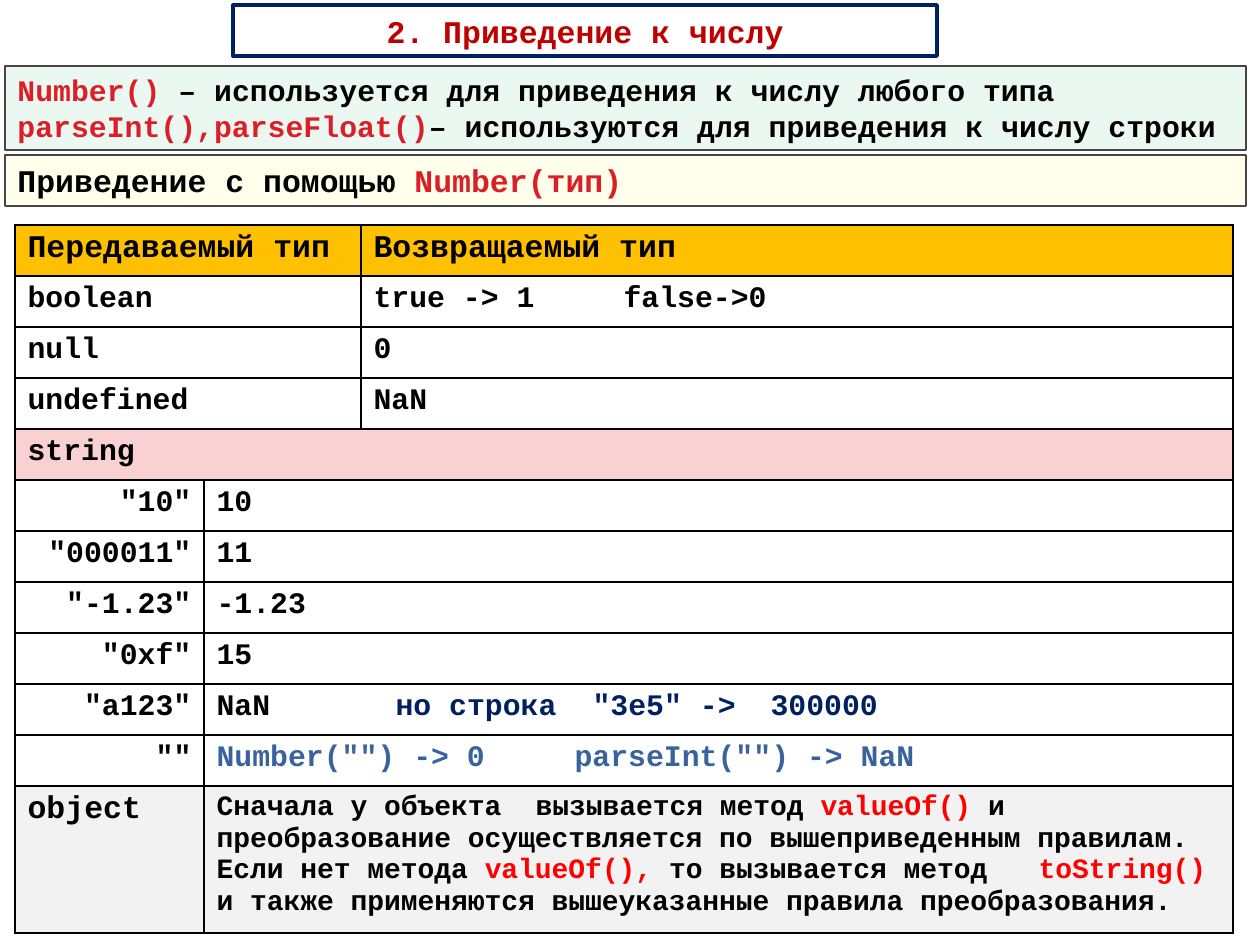
from dataclasses import dataclass
from typing import Any

from lxml.etree import SubElement
from pptx import Presentation
from pptx.dml.color import RGBColor as RGB
from pptx.enum.shapes import MSO_SHAPE as Preset
from pptx.enum.text import MSO_ANCHOR as Anchor, MSO_AUTO_SIZE as AutoSize, PP_ALIGN as Align
from pptx.oxml import parse_xml
from pptx.oxml.ns import nsdecls, qn
from pptx.util import Emu, Pt

BLACK = RGB(0x00, 0x00, 0x00)
WHITE = RGB(0xFF, 0xFF, 0xFF)
NAVY = RGB(0x00, 0x20, 0x60)
BLUE = RGB(0x39, 0x63, 0x9D)
CRIMSON = RGB(0xDA, 0x1F, 0x28)
DARK_RED = RGB(0xC0, 0x00, 0x00)
RED = RGB(0xFF, 0x00, 0x00)
GRAY = RGB(0x46, 0x46, 0x46)
GREEN = RGB(0x00, 0xB0, 0x50)
YELLOW = RGB(0xFF, 0xFF, 0x00)
AMBER = RGB(0xFF, 0xC0, 0x00)
PINK = RGB(0xF9, 0xD1, 0xD3)
PALE_GRAY = RGB(0xF2, 0xF2, 0xF2)


def px(length):
    return Emu(round(length * 914400 / 126))


def write(frame, paragraphs, font="Courier New", size=17, color=BLACK, align=Align.LEFT, tabs=()):
    """Fill a text frame; a paragraph is a string or a list of strings and (string, colour) pairs."""
    frame.word_wrap = True
    for index, runs in enumerate(paragraphs):
        paragraph = frame.add_paragraph() if index else frame.paragraphs[0]
        paragraph.alignment = align
        if tabs:
            tab_list = SubElement(paragraph._p.get_or_add_pPr(), qn("a:tabLst"))
            for stop in tabs:
                SubElement(tab_list, qn("a:tab"), pos=str(px(stop)), algn="l")
        for part in [runs] if isinstance(runs, str) else runs:
            words, tint = (part, color) if isinstance(part, str) else part
            run = paragraph.add_run()
            run.text = words
            run.font.name, run.font.size, run.font.bold = font, Pt(size), True
            run.font.color.rgb = tint


@dataclass
class Builder:
    slide: Any
    frame_width: float = 0.75
    title_frame_width: float = 2.25
    border_width: float = 1

    def title(self, text, left, top, width, height):
        title = self.slide.shapes.title
        title.left, title.top, title.width, title.height = map(px, (left, top, width, height))
        title.fill.solid()
        title.fill.fore_color.rgb = WHITE
        title.line.color.rgb = NAVY
        title.line.width = Pt(self.title_frame_width)
        title.text_frame.auto_size = AutoSize.NONE
        title.text_frame.vertical_anchor = Anchor.MIDDLE
        write(title.text_frame, [text], size=18, color=DARK_RED, align=Align.CENTER)

    def tinted_box(self, paragraphs, left, top, width, height, fill, opacity=8, **text_format):
        box = self.slide.shapes.add_shape(Preset.RECTANGLE, *map(px, (left, top, width, height)))
        box.shadow.inherit = False
        box.fill.solid()
        box.fill.fore_color.rgb = fill
        tint = box._element.spPr.find(qn("a:solidFill"))[0]
        SubElement(tint, qn("a:alpha"), val=str(opacity * 1000))
        box.line.color.rgb = GRAY
        box.line.width = Pt(self.frame_width)
        box.text_frame.vertical_anchor = Anchor.TOP
        write(box.text_frame, paragraphs, **text_format)

    def table(self, left, top, columns, rows):
        area = map(px, (left, top, sum(columns), sum(rows)))
        table = self.slide.shapes.add_table(len(rows), len(columns), *area).table
        table.first_row = table.horz_banding = False
        for column, width in zip(table.columns, columns):
            column.width = px(width)
        for row, height in zip(table.rows, rows):
            row.height = px(height)
            for cell in row.cells:
                self.style_cell(cell, WHITE)
        return table

    def style_cell(self, cell, fill):
        cell.fill.solid()
        cell.fill.fore_color.rgb = fill
        properties = cell._tc.get_or_add_tcPr()
        for index, side in enumerate(("lnL", "lnR", "lnT", "lnB")):
            properties.insert(index, parse_xml(
                f'<a:{side} {nsdecls("a")} w="{Pt(self.border_width)}"><a:solidFill>'
                f'<a:srgbClr val="{BLACK}"/></a:solidFill></a:{side}>'))

    def cell(self, table, row, first, last, text, fill=WHITE, **text_format):
        """Write one cell that spans the columns first to last."""
        cell = table.cell(row, first)
        if last > first:
            cell.merge(table.cell(row, last))
        cell.fill.fore_color.rgb = fill
        write(cell.text_frame, [text], **text_format)


PRIMITIVES = [
    ("boolean", "true -> 1\tfalse->0", (250,)),
    ("null", "0", ()),
    ("undefined", "NaN", ()),
]
STRINGS = [
    ('"10"', "10", ()),
    ('"000011"', "11", ()),
    ('"-1.23"', "-1.23", ()),
    ('"0xf"', "15", ()),
    ('"a123"', ["NaN\t", ('но строка\t"3e5" ->\t300000', NAVY)], (179, 376, 554)),
    ('""', [('Number("") -> 0\tparseInt("") -> NaN', BLUE)], (358,)),
]
OBJECT_RULE = [
    "Сначала у объекта\tвызывается метод ", ("valueOf() ", RED),
    "и преобразование осуществляется по вышеприведенным правилам. Если нет метода ",
    ("valueOf(), ", RED), "то вызывается метод\t", ("toString() ", RED),
    "и также применяются вышеуказанные правила преобразования.",
]


def main():
    deck = Presentation()
    deck.slide_width, deck.slide_height = px(1260), px(945)
    build = Builder(deck.slides.add_slide(deck.slide_layouts[5]))

    build.title("2. Приведение к числу", 233, 5, 704, 51)
    build.tinted_box([
        [("Number()", CRIMSON), " – используется для приведения к числу любого типа"],
        [("parseInt(),parseFloat()", CRIMSON), "– используются для приведения к числу строки"],
    ], 5, 66, 1241, 84, GREEN)
    build.tinted_box([["Приведение с помощью ", ("Number(тип)", CRIMSON)]],
                     5, 155, 1241, 51, YELLOW, size=18)

    rules = build.table(15, 225, columns=[189, 157, 872], rows=[51] * 11 + [147])
    build.cell(rules, 0, 0, 1, "Передаваемый тип", AMBER, size=18)
    build.cell(rules, 0, 2, 2, "Возвращаемый тип", AMBER, size=18)
    for row, (kind, result, tabs) in enumerate(PRIMITIVES, 1):
        build.cell(rules, row, 0, 1, kind)
        build.cell(rules, row, 2, 2, result, tabs=tabs)
    build.cell(rules, 4, 0, 2, "string", PINK)
    for row, (literal, result, tabs) in enumerate(STRINGS, 5):
        build.cell(rules, row, 0, 0, literal, align=Align.RIGHT)
        build.cell(rules, row, 1, 2, result, tabs=tabs)
    build.cell(rules, 11, 0, 0, "object", PALE_GRAY, size=18)
    build.cell(rules, 11, 1, 2, OBJECT_RULE, PALE_GRAY, size=16, tabs=(319, 822))

    deck.save("out.pptx")


if __name__ == "__main__":
    main()
